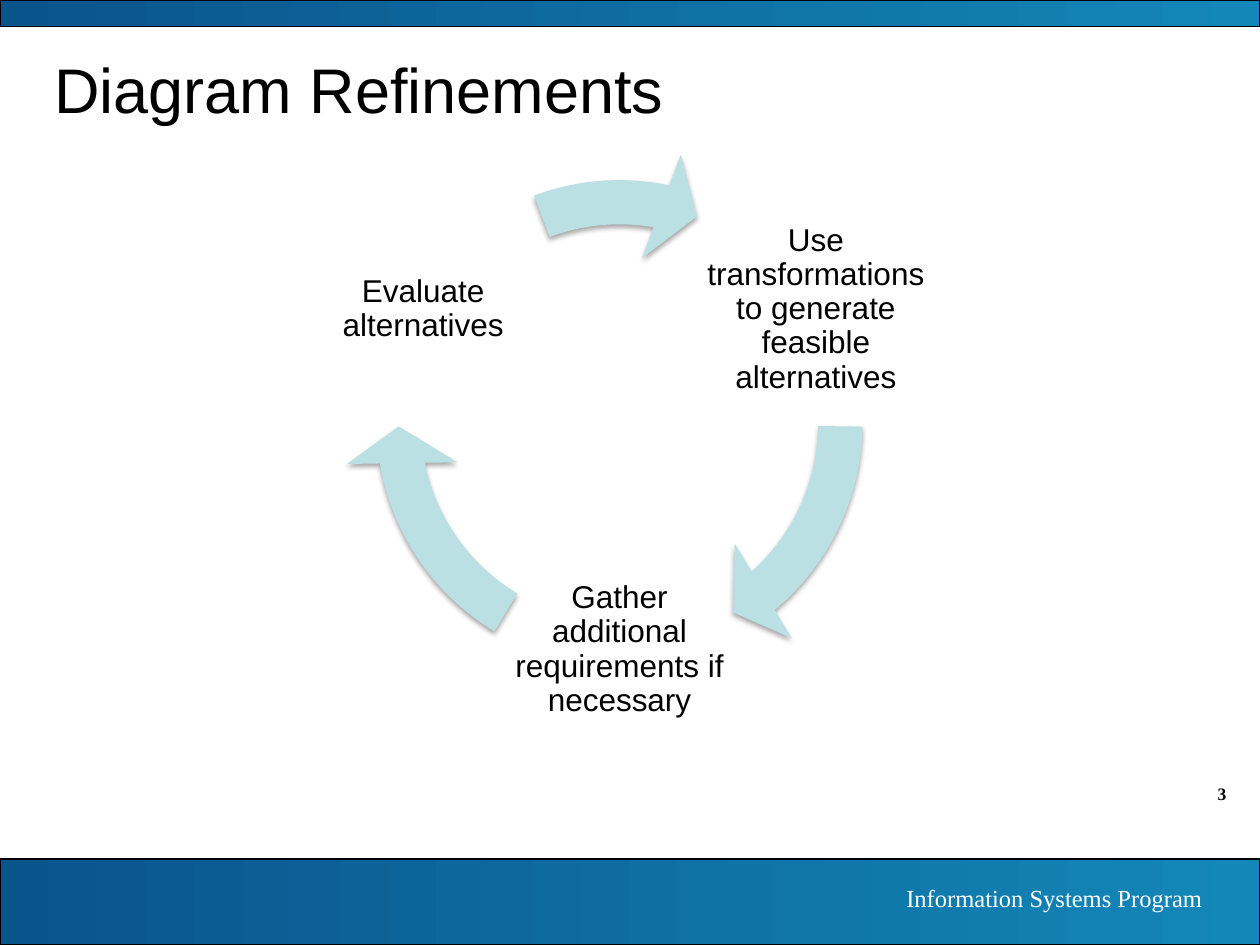
from math import cos, radians, sin

from lxml import etree
from pptx import Presentation
from pptx.dml.color import RGBColor
from pptx.enum.shapes import MSO_SHAPE
from pptx.enum.text import MSO_ANCHOR, PP_ALIGN
from pptx.oxml.ns import qn
from pptx.util import Cm, Pt

RECTANGLE = MSO_SHAPE.RECTANGLE
CIRCULAR_ARROW = MSO_SHAPE.CIRCULAR_ARROW
TOP, MIDDLE = MSO_ANCHOR.TOP, MSO_ANCHOR.MIDDLE
LEFT, CENTER, RIGHT = PP_ALIGN.LEFT, PP_ALIGN.CENTER, PP_ALIGN.RIGHT

COLORS = {
    "black": "000000",
    "white": "FFFFFF",
    "band_start": "0A548C",
    "band_end": "1387B8",
    "arrow": "BBE0E3",
}
SANS, SERIF = "Arial", "Times New Roman"

TITLE = "Diagram Refinements"
FOOTER = "Information Systems Program"
PAGE_NUMBER = "3"
# Each step with the start and end angle of the arrow that leaves it, in degrees
STEPS = [
    ("Use transformations to generate feasible alternatives", 0.85, 49.42),
    ("Gather additional requirements if necessary", 120.99, 169.55),
    ("Evaluate alternatives", 249.44, 280.96),
]

# Lengths in centimetres
SLIDE_WIDTH, SLIDE_HEIGHT = 25.4, 19.05
BANDS = [(17.32, 1.73), (0, 0.53)]  # top, height
CYCLE_X, CYCLE_Y, CYCLE_RADIUS = 12.49, 8.53, 4.57
STEP_SIZE, RING_SIZE, STEP_INSET = 4.7, 11.13, 0.08
FIRST_STEP_ANGLE = -30
ARROW_THICKNESS, ARROW_HEAD_ANGLE, ARROW_HEAD_WIDTH = 0.08, 9.6, 0.1
ANGLE_UNIT = 0.6  # one degree is 60000 units, adjustments count in 100000


def color(name):
    return RGBColor.from_string(COLORS[name])


def box(left, top, width, height):
    return Cm(left), Cm(top), Cm(width), Cm(height)


def square_around(x, y, size):
    return box(x - size / 2, y - size / 2, size, size)


def write(shape, text, font_name, size, color_name="black", align=LEFT,
          anchor=TOP, bold=False):
    frame = shape.text_frame
    frame.word_wrap = True
    frame.vertical_anchor = anchor
    frame.text = text
    paragraph = frame.paragraphs[0]
    paragraph.alignment = align
    font = paragraph.runs[0].font
    font.name, font.size, font.bold = font_name, Pt(size), bold
    font.color.rgb = color(color_name)
    return frame


def add_band(slide, top, height):
    band = slide.shapes.add_shape(RECTANGLE, *box(0, top, SLIDE_WIDTH, height))
    band.shadow.inherit = False
    band.fill.gradient()
    band.fill.gradient_angle = 0
    for stop, name in zip(band.fill.gradient_stops, ("band_start", "band_end")):
        stop.color.rgb = color(name)
    band.line.color.rgb = color("black")
    band.line.width = Pt(0.75)


def add_soft_shadow(shape):
    shape.shadow.inherit = False
    effects = shape._element.spPr.find(qn("a:effectLst"))
    shadow = etree.SubElement(effects, qn("a:outerShdw"), blurRad=str(Pt(3.1)),
                              dist=str(Pt(1.8)), dir="5400000", rotWithShape="0")
    shade = etree.SubElement(shadow, qn("a:srgbClr"), val=COLORS["black"])
    etree.SubElement(shade, qn("a:alpha"), val="35000")


def add_step(slide, text, angle):
    x = CYCLE_X + CYCLE_RADIUS * cos(radians(angle))
    y = CYCLE_Y + CYCLE_RADIUS * sin(radians(angle))
    step = slide.shapes.add_textbox(*square_around(x, y, STEP_SIZE))
    frame = write(step, text, SANS, 18, align=CENTER, anchor=MIDDLE)
    frame.margin_left = frame.margin_right = Cm(STEP_INSET)
    frame.margin_top = frame.margin_bottom = Cm(STEP_INSET)
    frame.paragraphs[0].line_spacing = 0.9


def add_arrow(slide, start, end):
    arrow = slide.shapes.add_shape(
        CIRCULAR_ARROW, *square_around(CYCLE_X, CYCLE_Y, RING_SIZE))
    settings = (ARROW_THICKNESS, ARROW_HEAD_ANGLE * ANGLE_UNIT,
                end * ANGLE_UNIT, start * ANGLE_UNIT, ARROW_HEAD_WIDTH)
    for index, value in enumerate(settings):
        arrow.adjustments[index] = value
    arrow.fill.solid()
    arrow.fill.fore_color.rgb = color("arrow")
    arrow.line.fill.background()
    add_soft_shadow(arrow)


def main():
    presentation = Presentation()
    presentation.slide_width = Cm(SLIDE_WIDTH)
    presentation.slide_height = Cm(SLIDE_HEIGHT)
    slide = presentation.slides.add_slide(presentation.slide_layouts[5])

    number = slide.shapes.add_textbox(*box(22.86, 15.67, 2.11, 0.69))
    write(number, PAGE_NUMBER, SERIF, 10, align=RIGHT, bold=True)
    for top, height in BANDS:
        add_band(slide, top, height)
    footer = slide.shapes.add_textbox(*box(14.1, 17.68, 10.39, 0.86))
    write(footer, FOOTER, SERIF, 14, "white", align=RIGHT)

    title = slide.shapes.title
    title.left, title.top, title.width, title.height = box(0.84, 0.84, 23.29, 1.9)
    write(title, TITLE, SANS, 36, anchor=MIDDLE)

    for index, (text, start, end) in enumerate(STEPS):
        add_step(slide, text, FIRST_STEP_ANGLE + index * 360 / len(STEPS))
        add_arrow(slide, start, end)

    presentation.save("out.pptx")


if __name__ == "__main__":
    main()
